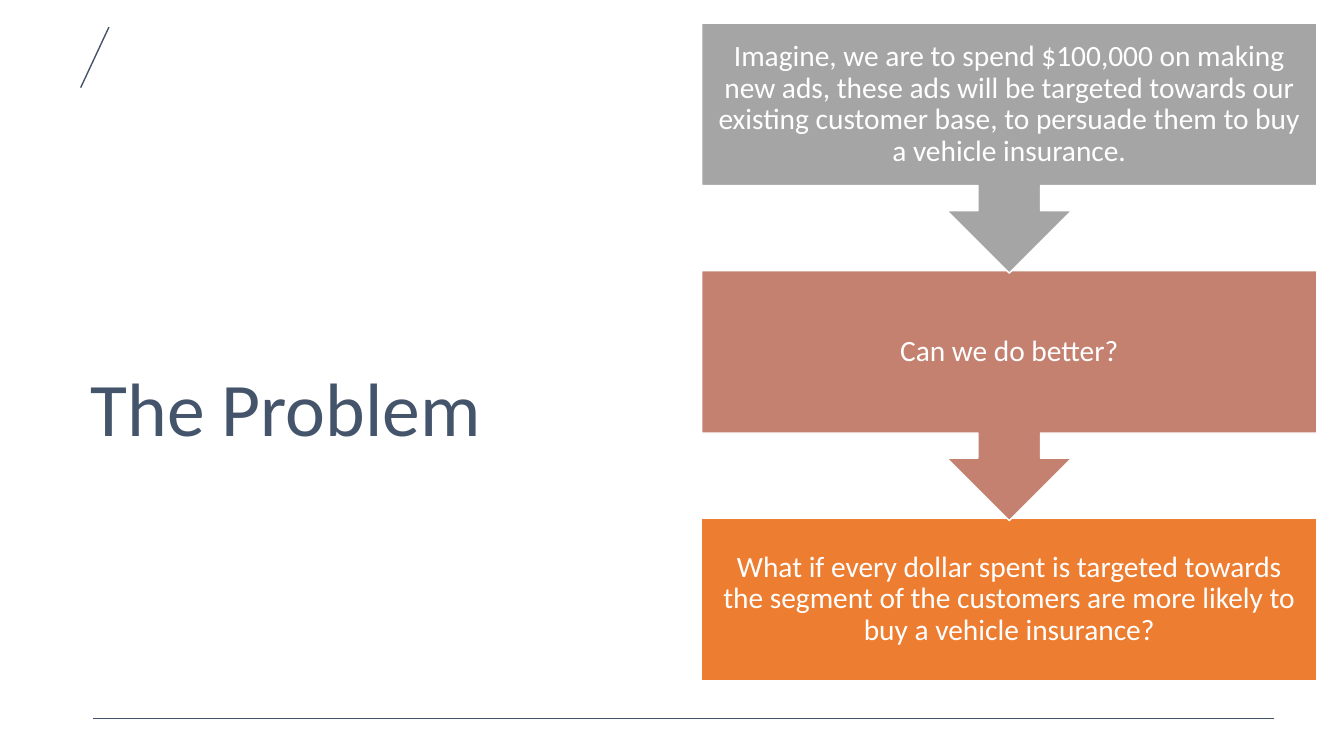
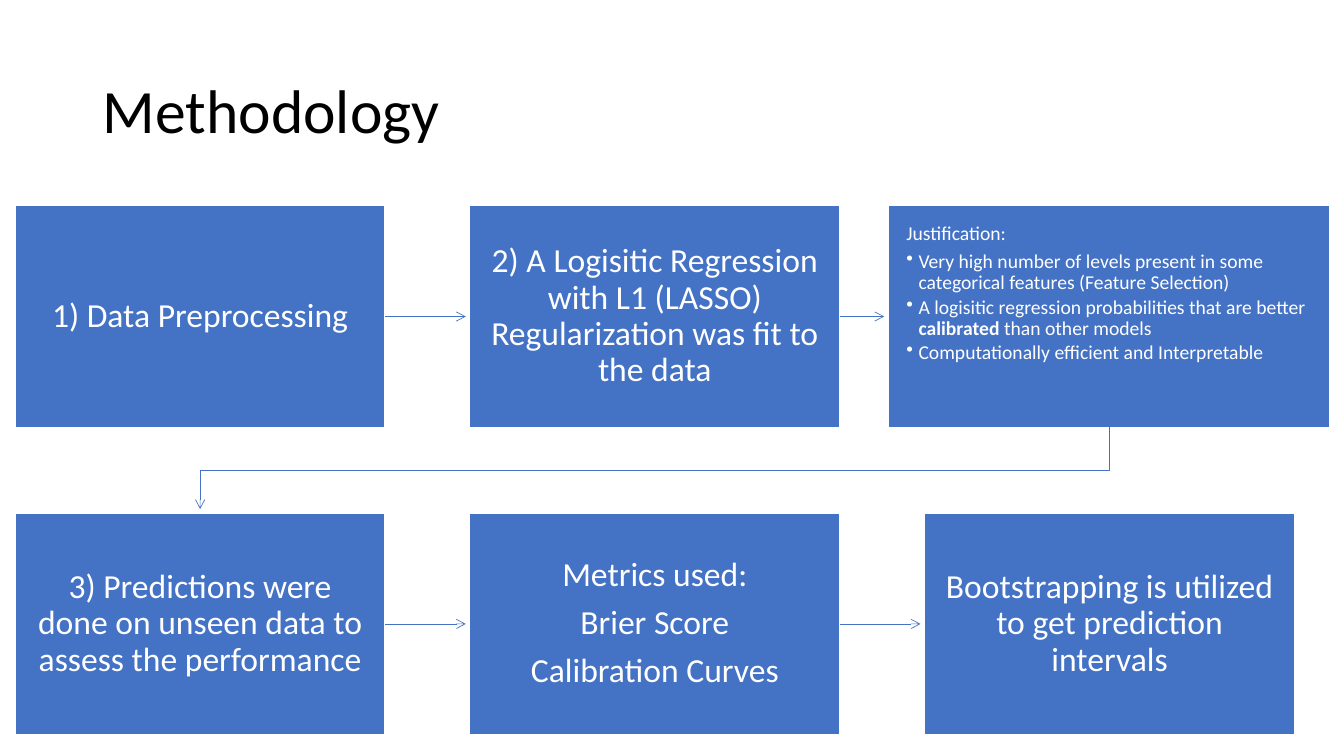
from pptx import Presentation, util as u
from pptx.dml.color import RGBColor
from pptx.enum import shapes, text
from pptx.oxml.ns import qn
from lxml import etree

WHITE = RGBColor(0xFF, 0xFF, 0xFF)
BLACK = RGBColor(0, 0, 0)
NAVY = RGBColor(0x44, 0x54, 0x6A)
BLUE = RGBColor(0x44, 0x72, 0xC4)
GRAY = RGBColor(0xA5, 0xA5, 0xA5)
ROSE = RGBColor(0xC4, 0x81, 0x70)
ORANGE = RGBColor(0xED, 0x7D, 0x31)
FONT = "Calibri"
KIND = shapes.MSO_SHAPE
MID, TOP = text.MSO_ANCHOR.MIDDLE, text.MSO_ANCHOR.TOP
LEFT, CENTER = text.PP_ALIGN.LEFT, text.PP_ALIGN.CENTER

ASKS = [
    ("Imagine, we are to spend $100,000 on making new ads, these ads will be "
     "targeted towards our existing customer base, to persuade them to buy "
     "a vehicle insurance.", GRAY),
    ("Can we do better?", ROSE),
    ("What if every dollar spent is targeted towards the segment of the "
     "customers are more likely to buy a vehicle insurance?", ORANGE),
]
STEPS = [
    [["1) Data Preprocessing"],
     ["2) A Logisitic Regression with L1 (LASSO) Regularization was fit to the data"]],
    [["3) Predictions were done on unseen data to assess the performance"],
     ["Metrics used:", "Brier Score", "Calibration Curves"],
     ["Bootstrapping is utilized to get prediction intervals"]],
]
REASON = "Justification:"
POINTS = [
    "Very high number of levels present in some categorical features (Feature Selection)",
    "A logisitic regression probabilities that are better **calibrated** than other models",
    "Computationally efficient and Interpretable",
]


def style(par, size, color, align=LEFT, after=0):
    par.font.name, par.font.size = FONT, u.Pt(size)
    par.font.color.rgb = color
    par.alignment, par.line_spacing = align, 0.9
    par.space_after = u.Pt(after)


def write(par, line):
    for i, part in enumerate(line.split("**")):
        run = par.add_run()
        run.text = part
        if i % 2:
            run.font.bold = True


def fill(frame, lines, size, color, align=CENTER, share=0.35):
    frame.word_wrap = True
    for i, line in enumerate(lines):
        par = frame.paragraphs[0] if i == 0 else frame.add_paragraph()
        write(par, line)
        style(par, size, color, align, size * share)


def title(slide, line, area, size, color):
    frame = slide.shapes.add_textbox(*map(u.Inches, area)).text_frame
    frame.vertical_anchor = MID
    fill(frame, [line], size, color, LEFT, 0)


def block(slide, kind, area, color, pad):
    box = slide.shapes.add_shape(kind, *map(u.Inches, area))
    box.shadow.inherit = False
    box.fill.solid()
    box.fill.fore_color.rgb = color
    box.line.color.rgb, box.line.width = WHITE, u.Pt(1)
    frame = box.text_frame
    frame.margin_left = frame.margin_right = u.Inches(pad)
    frame.margin_top = frame.margin_bottom = u.Inches(pad)
    frame.vertical_anchor = MID
    return frame


def stroke(item, color, width, head=False):
    item.line.color.rgb, item.line.width = color, u.Pt(width)
    if head:
        etree.SubElement(item.line._get_or_add_ln(), qn("a:tailEnd"), type="arrow")


def line(slide, start, end, color, width, head=False):
    ends = map(u.Inches, (*start, *end))
    item = slide.shapes.add_connector(shapes.MSO_CONNECTOR.STRAIGHT, *ends)
    stroke(item, color, width, head)
    etree.SubElement(item._element.spPr, qn("a:effectLst"))


def bend(slide, points, color, width):
    spots = [(u.Inches(x), u.Inches(y)) for x, y in points]
    form = slide.shapes.build_freeform(*spots[0])
    form.add_line_segments(spots[1:], close=False)
    item = form.convert_to_shape()
    item.shadow.inherit = False
    item.fill.background()
    stroke(item, color, width, True)


def bullet(par):
    props = par._p.get_or_add_pPr()
    props.set("marL", str(u.Inches(0.12)))
    props.set("indent", str(-u.Inches(0.12)))
    etree.SubElement(props, qn("a:buChar"), char="•")


def problem(slide):
    title(slide, "The Problem", (0.8, 1.28, 5.33, 5.62), 54, NAVY)
    line(slide, (1.08, 0.27), (0.8, 0.87), NAVY, 1)
    line(slide, (12.64, 7.13), (0.92, 7.13), NAVY, 1)
    left, top, wide, pitch = 6.96, 0.23, 6.1, 2.455
    last = len(ASKS) - 1
    for i, (ask, color) in reversed(list(enumerate(ASKS))):
        kind, high = (KIND.RECTANGLE, 1.61) if i == last else (KIND.DOWN_ARROW_CALLOUT, 2.48)
        frame = block(slide, kind, (left, top + i * pitch, wide, high), color, 0.16)
        fill(frame, [ask], 21, WHITE)


def method(slide):
    title(slide, "Methodology", (0.92, 0.4, 11.5, 1.45), 44, BLACK)
    left, top, wide, high = 0.15, 2.04, 3.67, 2.2
    across, down, gap = 4.51, 3.05, 0.04
    side, broad = 8.81, 4.38
    for r, row in enumerate(STEPS):
        y = top + r * down
        for c, lines in enumerate(row):
            frame = block(slide, KIND.RECTANGLE, (left + c * across, y, wide, high), BLUE, 0.18)
            fill(frame, lines, 24, WHITE)
        for c in range(2):
            goal = side if (r, c) == (0, 1) else left + (c + 1) * across
            mid = y + high / 2
            line(slide, (left + c * across + wide, mid), (goal - gap, mid), BLUE, 0.5, True)

    frame = block(slide, KIND.RECTANGLE, (side, top, broad, high), BLUE, 0.18)
    frame.vertical_anchor = TOP
    fill(frame, [REASON], 14, WHITE, LEFT)
    for point in POINTS:
        par = frame.add_paragraph()
        write(par, point)
        style(par, 14, WHITE, LEFT, 2.1)
        bullet(par)

    start, end = side + broad / 2, left + wide / 2
    base, goal = top + high, top + down - gap
    turn = top + (high + down) / 2
    bend(slide, [(start, base), (start, turn), (end, turn), (end, goal)], BLUE, 0.5)


def main():
    deck = Presentation()
    deck.slide_width, deck.slide_height = u.Inches(13.33), u.Inches(7.5)
    for draw in (problem, method):
        draw(deck.slides.add_slide(deck.slide_layouts[6]))
    deck.save("out.pptx")


if __name__ == "__main__":
    main()
